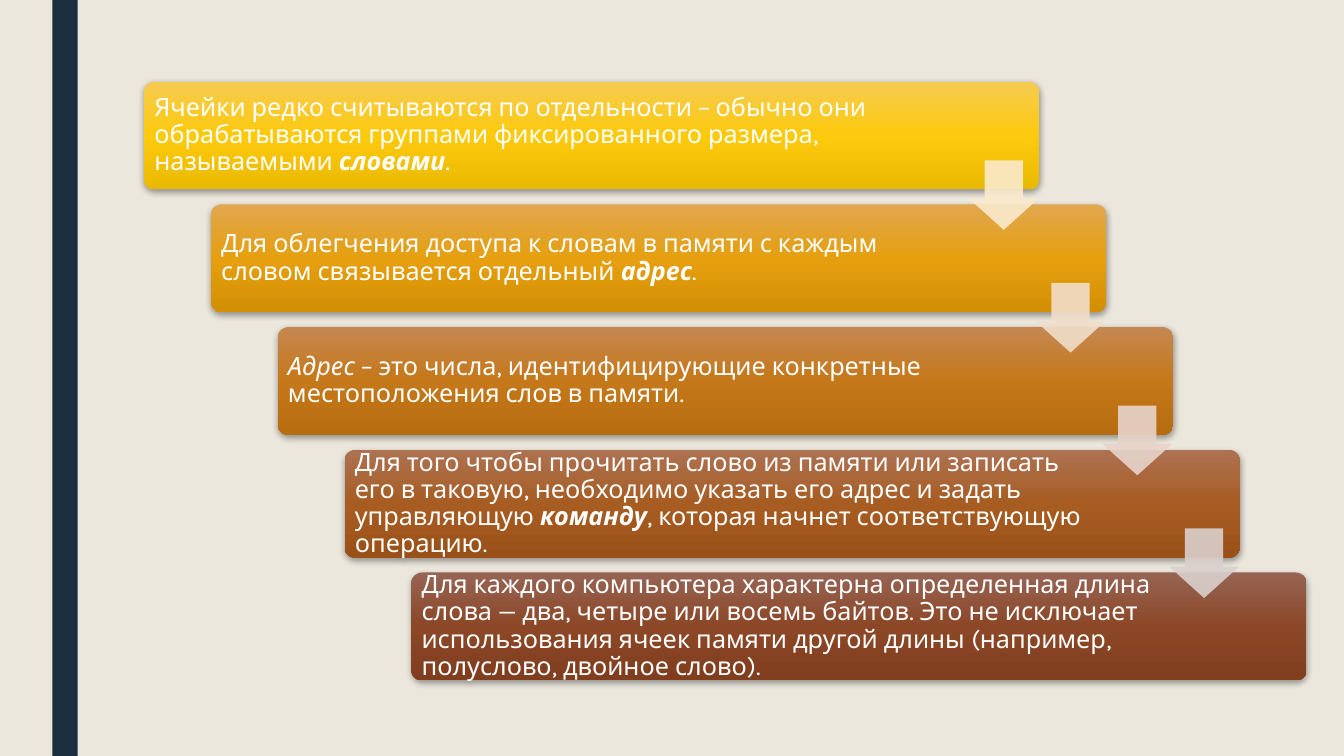
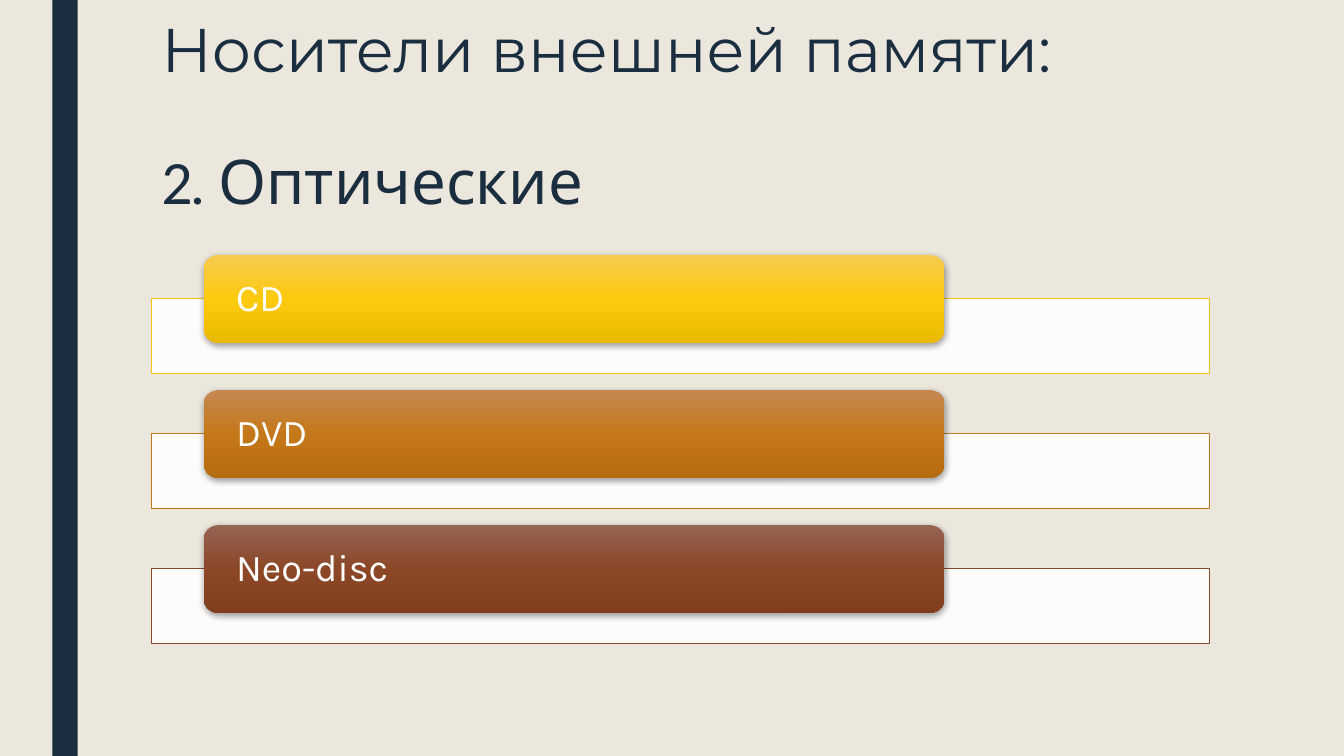
from copy import deepcopy

from lxml import etree
from pptx import Presentation
from pptx.dml.color import RGBColor
from pptx.enum.shapes import MSO_SHAPE
from pptx.enum.text import MSO_ANCHOR, MSO_AUTO_SIZE, PP_ALIGN
from pptx.oxml.ns import qn
from pptx.util import Inches, Pt

RECT = MSO_SHAPE.RECTANGLE
ROUNDED = MSO_SHAPE.ROUNDED_RECTANGLE
DOWN_ARROW = MSO_SHAPE.DOWN_ARROW
TOP, MIDDLE = MSO_ANCHOR.TOP, MSO_ANCHOR.MIDDLE
LEFT = PP_ALIGN.LEFT
NO_AUTOFIT = MSO_AUTO_SIZE.NONE
TITLE_ONLY, BLANK = 5, 6

GOLD = ("F6CB51", "FDCA0D", "EAB902")
AMBER = ("E1A750", "E59F0F", "D49005")
OCHRE = ("C58852", "C57819", "B66C10")
RUST = ("AD7252", "A75C22", "9A5118")
BROWN = ("966454", "8C4727", "803E1F")

CELL_FACTS = [
    (GOLD, [("Ячейки редко считываются по отдельности – обычно они обрабатываются "
             "группами фиксированного размера, называемыми ", {}),
            ("словами", {"bold": True, "italic": True}), (".", {})]),
    (AMBER, [("Для облегчения доступа к словам в памяти с каждым словом "
              "связывается отдельный ", {}),
             ("адрес", {"bold": True, "italic": True}), (".", {})]),
    (OCHRE, [("Адрес", {"italic": True}),
             (" – это числа, идентифицирующие конкретные местоположения "
              "слов в памяти.", {})]),
    (RUST, [("Для того чтобы прочитать слово из памяти или записать его в таковую, "
             "необходимо указать его адрес и задать управляющую ", {}),
            ("команду", {"bold": True, "italic": True}),
            (", которая начнет соответствующую операцию.", {})]),
    (BROWN, [("Для каждого компьютера характерна определенная длина слова — два, "
              "четыре или восемь байтов. Это не исключает использования ячеек "
              "памяти другой длины (например, полуслово, двойное слово).", {})]),
]
ARROW_TINTS = ["FAEACC", "F1DECA", "E7D4CB", "DAD0CD"]
OPTICAL_DISCS = [("CD", GOLD, "F2C418"), ("DVD", OCHRE, "BD7821"),
                 ("Neo-disc", BROWN, "87492C")]


def rgb(value):
    return RGBColor.from_string(value)


def write_runs(paragraph, runs, *, size, color, font="Karla", spacing=0.9, before=0):
    paragraph.alignment = LEFT
    paragraph.line_spacing = spacing
    paragraph.space_before = Pt(before)
    for words, style in runs:
        run = paragraph.add_run()
        run.text = words
        run.font.name = style.get("font", font)
        run.font.size = Pt(size)
        run.font.color.rgb = rgb(color)
        run.font.bold = style.get("bold", False)
        run.font.italic = style.get("italic", False)


def set_frame(frame, anchor, insets):
    frame.word_wrap = True
    frame.auto_size = NO_AUTOFIT
    frame.vertical_anchor = anchor
    frame.margin_left, frame.margin_top, frame.margin_right, frame.margin_bottom = map(
        Inches, insets)


class Deck:
    paper, navy, white = "EBE7DD", "1A2E40", "FFFFFF"

    def __init__(self):
        self.prs = Presentation()
        self.prs.slide_width, self.prs.slide_height = Inches(13.33), Inches(7.5)
        backdrop = self.prs.slide_master.background.fill
        backdrop.solid()
        backdrop.fore_color.rgb = rgb(self.paper)
        self.slide = None

    def start(self, layout):
        self.slide = self.prs.slides.add_slide(self.prs.slide_layouts[layout])
        self.block(RECT, 0.52, 0, 0.25, 7.5, self.navy)

    def shape(self, preset, left, top, width, height, adjustments=()):
        shape = self.slide.shapes.add_shape(
            preset, Inches(left), Inches(top), Inches(width), Inches(height))
        for index, value in enumerate(adjustments):
            shape.adjustments[index] = value
        shape.shadow.inherit = False
        shape.line.fill.background()
        return shape

    def block(self, preset, left, top, width, height, color, *,
              adjustments=(), outline=None, opacity=100):
        block = self.shape(preset, left, top, width, height, adjustments)
        block.fill.solid()
        block.fill.fore_color.rgb = rgb(color)
        if opacity < 100:
            tint = block._element.spPr.find(".//" + qn("a:srgbClr"))
            etree.SubElement(tint, qn("a:alpha"), val=str(opacity * 1000))
        if outline:
            block.line.color.rgb = rgb(outline)
            block.line.width = Pt(0.5)

    def card(self, left, top, width, height, shades, runs, *, size, insets, adjustments=()):
        card = self.shape(ROUNDED, left, top, width, height, adjustments)
        self.shade(card, shades)
        self.drop_shadow(card)
        set_frame(card.text_frame, MIDDLE, insets)
        write_runs(card.text_frame.paragraphs[0], runs, size=size, color=self.white)

    def shade(self, card, shades):
        card.fill.gradient()
        card.fill.gradient_angle = 270
        stops = card._element.spPr.find(".//" + qn("a:gsLst"))
        stops.insert(1, deepcopy(stops[0]))
        for index, stop in enumerate(card.fill.gradient_stops):
            stop.position = index / 2
            stop.color.rgb = rgb(shades[index])

    def drop_shadow(self, card):
        effects = card._element.spPr.find(qn("a:effectLst"))
        shadow = etree.SubElement(
            effects, qn("a:outerShdw"), blurRad=str(Pt(4.5)), dist=str(Pt(1.5)),
            dir="5400000", algn="ctr", rotWithShape="0")
        black = etree.SubElement(shadow, qn("a:srgbClr"), val="000000")
        etree.SubElement(black, qn("a:alpha"), val="35000")

    def title(self, heading, subheading):
        title = self.slide.shapes.title
        title.left, title.top = Inches(1.5), Inches(0.15)
        title.width, title.height = Inches(10.5), Inches(2.22)
        frame = title.text_frame
        set_frame(frame, TOP, (0.1, 0.05, 0.1, 0.05))
        style = {"size": 44, "color": self.navy, "spacing": 0.89}
        write_runs(frame.paragraphs[0], heading, font="Montserrat", **style)
        write_runs(frame.add_paragraph(), subheading, before=47, **style)


def memory_words(deck):
    deck.start(BLANK)
    gaps = len(CELL_FACTS) - 1
    step_x, step_y = (4.08 - 1.43) / gaps, (5.68 - 0.81) / gaps
    for index, (shades, runs) in enumerate(CELL_FACTS):
        right_inset = 1.43 if index else 1.29
        deck.card(1.43 + index * step_x, 0.81 + index * step_y, 8.88, 1.07, shades, runs,
                  size=18, insets=(0.07, 0.07, right_inset, 0.07), adjustments=(0.1,))
    for index, tint in enumerate(ARROW_TINTS):
        deck.block(DOWN_ARROW, 9.61 + index * step_x, 1.59 + index * step_y, 0.69, 0.69,
                   tint, adjustments=(0.55, 0.45), opacity=90)


def optical_media(deck):
    deck.start(TITLE_ONLY)
    deck.title([("Носители внешней памяти:", {})],
               [("2", {"font": "Calibri"}), (". Оптические", {})])
    for index, (disc, shades, outline) in enumerate(OPTICAL_DISCS):
        top = 2.53 + index * 1.34
        deck.block(RECT, 1.5, top + 0.43, 10.5, 0.74, deck.white,
                   outline=outline, opacity=90)
        deck.card(2.02, top, 7.35, 0.87, shades, [(disc, {})],
                  size=27, insets=(0.28, 0, 0.28, 0))


def main():
    deck = Deck()
    memory_words(deck)
    optical_media(deck)
    deck.prs.save("out.pptx")


if __name__ == "__main__":
    main()
